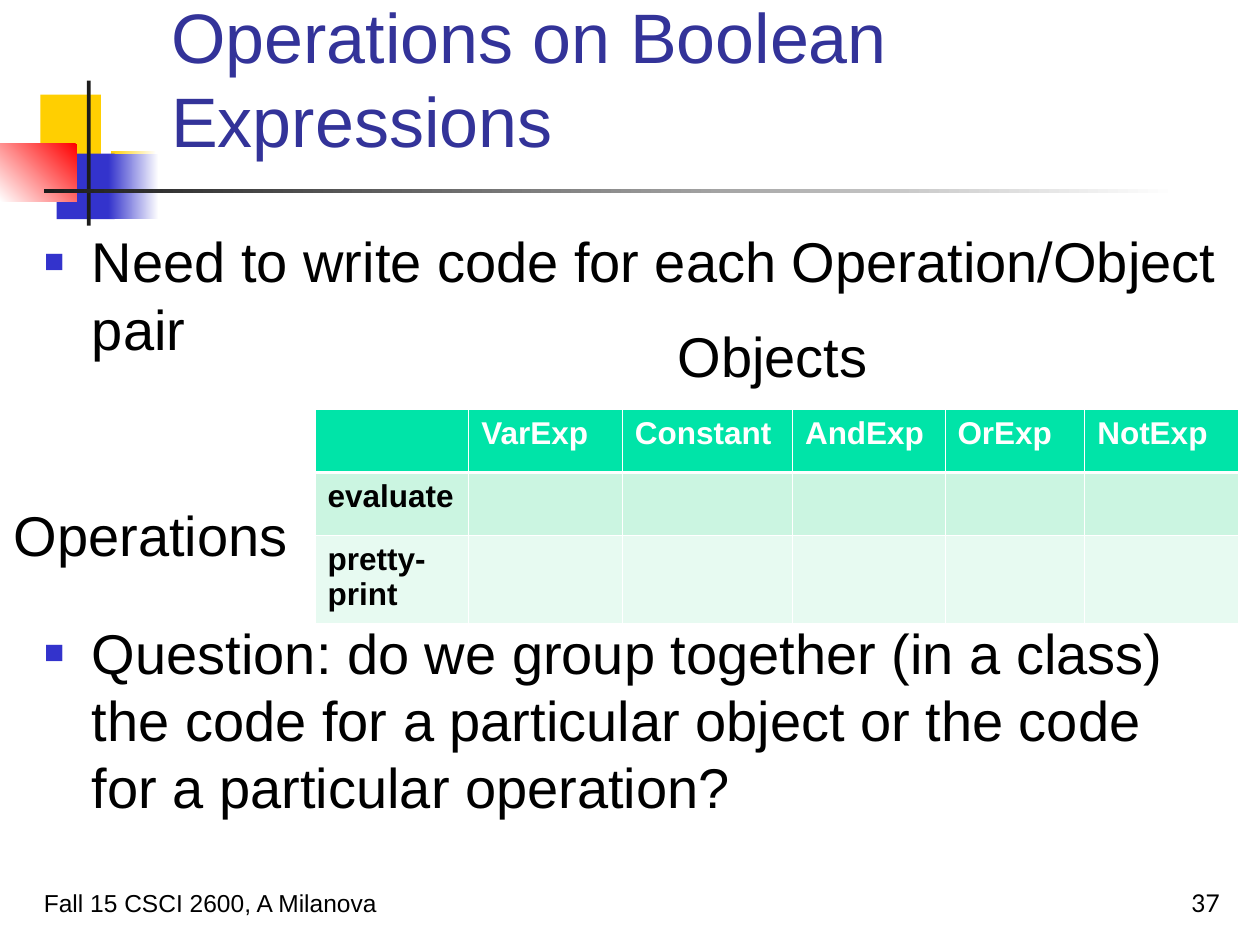
import pptx
import pptx.dml.color
import pptx.enum.shapes
import pptx.enum.text
import pptx.oxml
import pptx.oxml.ns
import pptx.util

Inches, Pt = pptx.util.Inches, pptx.util.Pt
RGBColor = pptx.dml.color.RGBColor
Anchor, Align = pptx.enum.text.MSO_ANCHOR, pptx.enum.text.PP_ALIGN
AutoSize = pptx.enum.text.MSO_AUTO_SIZE

WHITE = RGBColor(0xFF, 0xFF, 0xFF)
BLACK = RGBColor(0, 0, 0)
YELLOW = RGBColor(0xFF, 0xCF, 0x01)
BLUE = RGBColor(0x33, 0x33, 0xCC)
RED = RGBColor(0xFF, 0, 0)
CHARCOAL = RGBColor(0x1C, 0x1C, 0x1C)
TITLE_BLUE = RGBColor(0x33, 0x33, 0x99)
GREEN = RGBColor(0x00, 0xE4, 0xA8)
MINT = RGBColor(0xCB, 0xF5, 0xE1)
PALE_MINT = RGBColor(0xE7, 0xFA, 0xF1)

# Content
TITLE = "Operations on Boolean Expressions"
BULLETS = [  # text, space before in points
    ("Need to write code for each Operation/Object pair", 0),
    ("Question: do we group together (in a class) the code for a particular "
     "object or the code for a particular operation?", 147),
]
TABLE = [
    ["", "VarExp", "Constant", "AndExp", "OrExp", "NotExp"],
    ["evaluate", "", "", "", "", ""],
    ["pretty- print", "", "", "", "", ""],
]
COLUMN_WIDTHS = [1.22, 1.22, 1.35, 1.21, 1.11, 1.22]
ROW_HEIGHTS = [0.5, 0.5, 0.7]
ROW_FILLS = [GREEN, MINT, PALE_MINT]
THIN, THICK = 0.45, 1.47
RULES = [THIN, THICK, THIN, THIN]  # horizontal rules, top to bottom

# Decoration: box, colours (two make a gradient), gradient angle
DECORATION = [
    ((0.32, 0.75, 0.48, 0.52), [YELLOW], None),
    ((0.88, 1.2, 0.36, 0.52), [WHITE, YELLOW], 180),
    ((0.45, 1.22, 0.46, 0.52), [BLUE], None),
    ((0.86, 1.22, 0.4, 0.52), [WHITE, BLUE], 180),
    ((0, 1.14, 0.61, 0.46), [RED, WHITE], 225),
    ((0.69, 0.64, 0.03, 1.15), [CHARCOAL], None),
    ((0.35, 1.5, 9, 0.03), [WHITE, CHARCOAL], 180),
]

# Labels: text, box, size, font, alignment, anchor, wrap
LABELS = [
    ("Fall 15 CSCI 2600, A Milanova", (0.25, 6.83, 5.17, 0.5), 14, "Arial",
     Align.LEFT, Anchor.BOTTOM, True),
    ("37", (7.7, 6.83, 2.08, 0.5), 14, "Lato", Align.RIGHT, Anchor.BOTTOM, True),
    ("Objects", (5.28, 2.5, 1.71, 0.64), 32, "Arial", Align.LEFT, Anchor.TOP, False),
    ("Operations", (0.01, 3.92, 2.4, 0.64), 32, "Arial", Align.LEFT, Anchor.TOP, False),
]


def add_run(paragraph, text, size, color, font="Arial", bold=False):
    run = paragraph.add_run()
    run.text = text
    run.font.size, run.font.name, run.font.bold = Pt(size), font, bold
    run.font.color.rgb = color


def place(shape, box):
    shape.left, shape.top, shape.width, shape.height = map(Inches, box)


def add_bullet(paragraph):
    properties = paragraph._p.get_or_add_pPr()
    properties.set("marL", str(Inches(0.38)))
    properties.set("indent", str(Inches(-0.38)))
    namespace = pptx.oxml.ns.nsdecls("a")
    for element in (f'<a:buClr {namespace}><a:srgbClr val="{BLUE}"/></a:buClr>',
                    f'<a:buSzPct {namespace} val="60000"/>',
                    f'<a:buFont {namespace} typeface="Arial"/>',
                    f'<a:buChar {namespace} char="■"/>'):
        properties.append(pptx.oxml.parse_xml(element))


def add_borders(cell, top, bottom):
    properties = cell._tc.get_or_add_tcPr()
    widths = {"lnL": THIN, "lnR": THIN, "lnT": top, "lnB": bottom}
    for index, (side, width) in enumerate(widths.items()):
        properties.insert(index, pptx.oxml.parse_xml(
            f'<a:{side} {pptx.oxml.ns.nsdecls("a")} w="{Pt(width)}"><a:solidFill>'
            f'<a:srgbClr val="{WHITE}"/></a:solidFill></a:{side}>'))


presentation = pptx.Presentation()
presentation.slide_width, presentation.slide_height = Inches(10), Inches(7.5)
slide = presentation.slides.add_slide(presentation.slide_layouts[1])

# Corner squares and rules, behind the placeholders
for index, (box, colors, angle) in enumerate(DECORATION):
    shape = slide.shapes.add_shape(
        pptx.enum.shapes.MSO_SHAPE.RECTANGLE, *map(Inches, box))
    shape.shadow.inherit = False
    shape.line.fill.background()
    if angle is None:
        shape.fill.solid()
        shape.fill.fore_color.rgb = colors[0]
    else:
        shape.fill.gradient()
        shape.fill.gradient_angle = angle
        for stop, color in zip(shape.fill.gradient_stops, colors):
            stop.color.rgb = color
    slide.shapes._spTree.insert(2 + index, shape._element)

# Title and bullets
title, body = slide.placeholders
for placeholder, box, anchor in ((title, (1.26, 0.23, 8.52, 1.1), Anchor.BOTTOM),
                                 (body, (0.25, 1.75, 9.54, 4.96), Anchor.TOP)):
    place(placeholder, box)
    placeholder.text_frame.auto_size = AutoSize.NONE
    placeholder.text_frame.vertical_anchor = anchor

paragraph = title.text_frame.paragraphs[0]
paragraph.alignment = Align.LEFT
add_run(paragraph, TITLE, 40, TITLE_BLUE)

for index, (text, space) in enumerate(BULLETS):
    paragraph = body.text_frame.add_paragraph() if index else body.text_frame.paragraphs[0]
    add_bullet(paragraph)
    paragraph.space_before = Pt(space)
    add_run(paragraph, text, 32, BLACK)

# Operation/object table
table = slide.shapes.add_table(
    len(ROW_HEIGHTS), len(COLUMN_WIDTHS), Inches(2.5), Inches(3.25),
    Inches(sum(COLUMN_WIDTHS)), Inches(sum(ROW_HEIGHTS))).table
table.first_row = table.horz_banding = False
for column, width in zip(table.columns, COLUMN_WIDTHS):
    column.width = Inches(width)
for row_index, texts in enumerate(TABLE):
    table.rows[row_index].height = Inches(ROW_HEIGHTS[row_index])
    for column_index, text in enumerate(texts):
        cell = table.cell(row_index, column_index)
        cell.fill.solid()
        cell.fill.fore_color.rgb = ROW_FILLS[row_index]
        add_borders(cell, RULES[row_index], RULES[row_index + 1])
        if text:
            add_run(cell.text_frame.paragraphs[0], text, 18,
                    BLACK if row_index else WHITE, bold=True)

# Footer, slide number and table labels
for text, box, size, font, alignment, anchor, wrap in LABELS:
    frame = slide.shapes.add_textbox(*map(Inches, box)).text_frame
    frame.word_wrap, frame.vertical_anchor = wrap, anchor
    frame.auto_size = AutoSize.NONE if wrap else AutoSize.SHAPE_TO_FIT_TEXT
    frame.paragraphs[0].alignment = alignment
    add_run(frame.paragraphs[0], text, size, BLACK, font)

presentation.save("out.pptx")
